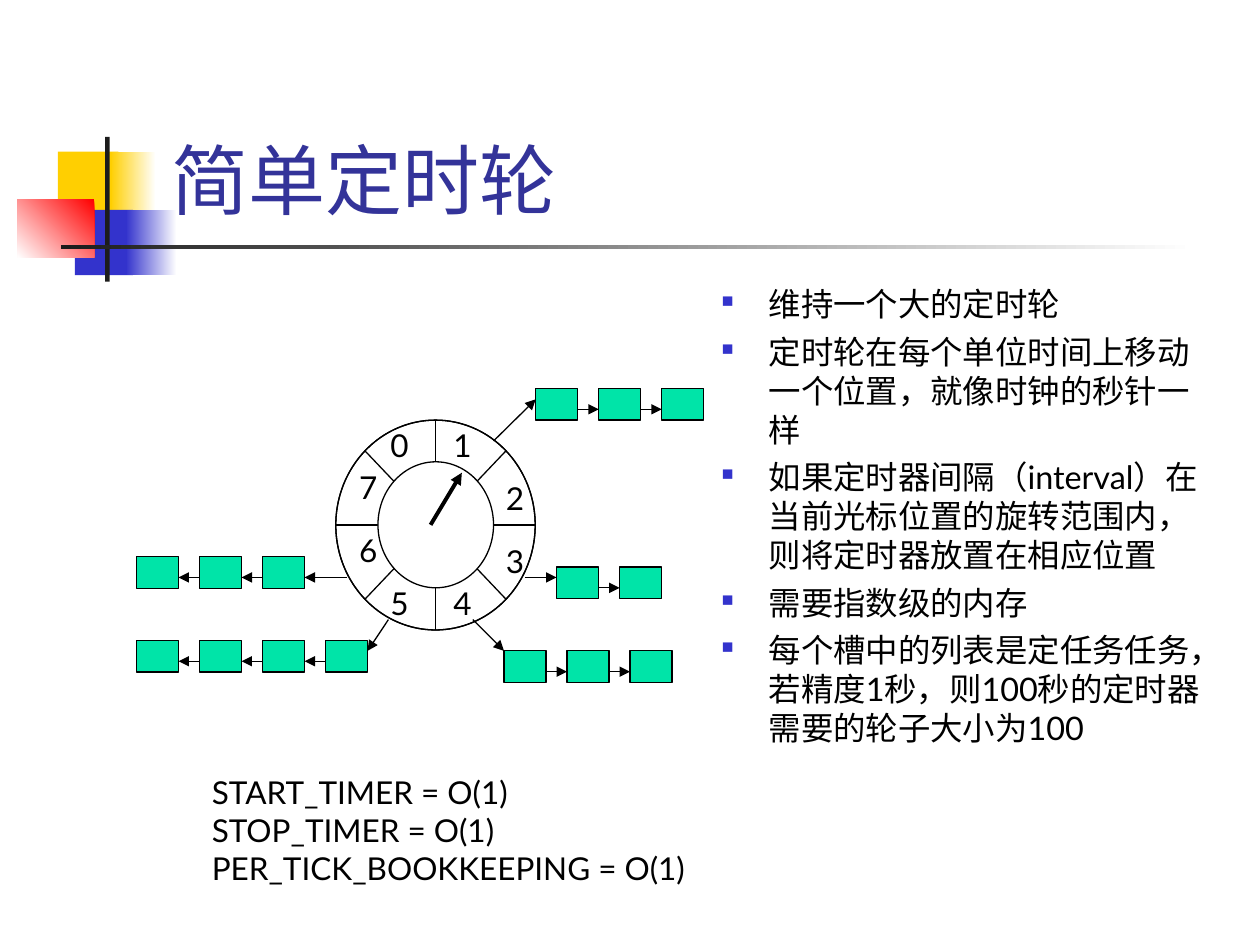
import pptx
import pptx.util
from pptx.dml.color import RGBColor
from pptx.enum.shapes import MSO_CONNECTOR, MSO_SHAPE
from pptx.enum.text import MSO_ANCHOR
from pptx.oxml.ns import qn
from lxml import etree

Cm, Pt = pptx.util.Cm, pptx.util.Pt
BOX_W, BOX_H, PITCH = 0.85, 0.64, 1.27
LINK_Y = 0.42  # height of the link arrows below the top of a box


def color(code):
    return RGBColor.from_string(code)


def write(frame, lines, size=18, ink="000000", gap=0, mark=None):
    """Fill a text frame, one paragraph a line, with an optional bullet colour."""
    for i, line in enumerate(lines):
        para = frame.paragraphs[0] if i == 0 else frame.add_paragraph()
        if mark:
            bullet(para, mark)
        if i and gap:
            para.space_before = Pt(gap)
        run = para.add_run()
        run.text = line
        run.font.size = Pt(size)
        run.font.name = "Lato"
        run.font.color.rgb = color(ink)


def bullet(para, ink):
    props = para._p.get_or_add_pPr()
    props.set("marL", str(Cm(0.95)))
    props.set("indent", str(-Cm(0.95)))
    tint = etree.SubElement(props, qn("a:buClr"))
    etree.SubElement(tint, qn("a:srgbClr"), val=ink)
    etree.SubElement(props, qn("a:buSzPct"), val="50000")
    etree.SubElement(props, qn("a:buChar"), char="■")


class Board:
    """Holds the line style and the current slide; lengths are in cm."""

    def __init__(self, slide, ink="000000", width=0.75):
        self.slide, self.ink, self.width = slide, ink, width

    def shape(self, kind, x, y, w, h, fill=None, edge=True):
        item = self.slide.shapes.add_shape(kind, Cm(x), Cm(y), Cm(w), Cm(h))
        item.shadow.inherit = False
        if fill:
            item.fill.solid()
            item.fill.fore_color.rgb = color(fill)
        else:
            item.fill.background()
        if edge:
            item.line.color.rgb = color(self.ink)
            item.line.width = Pt(self.width)
        else:
            item.line.fill.background()
        return item

    def block(self, x, y, w, h, fill):
        return self.shape(MSO_SHAPE.RECTANGLE, x, y, w, h, fill, edge=False)

    def fade(self, x, y, w, h, start, end, angle=180):
        item = self.block(x, y, w, h, start)
        item.fill.gradient()
        item.fill.gradient_angle = angle
        for stop, code in zip(item.fill.gradient_stops, (start, end)):
            stop.color.rgb = color(code)

    def arrow(self, x1, y1, x2, y2, width=None):
        item = self.slide.shapes.add_connector(
            MSO_CONNECTOR.STRAIGHT, Cm(x1), Cm(y1), Cm(x2), Cm(y2))
        item.line.color.rgb = color(self.ink)
        item.line.width = Pt(width or self.width)
        etree.SubElement(item.line._get_or_add_ln(), qn("a:tailEnd"), type="triangle")
        etree.SubElement(item._element.spPr, qn("a:effectLst"))

    def text(self, x, y, w, h, lines, anchor=MSO_ANCHOR.TOP, **style):
        frame = self.slide.shapes.add_textbox(Cm(x), Cm(y), Cm(w), Cm(h)).text_frame
        frame.word_wrap = True
        frame.vertical_anchor = anchor
        write(frame, lines, **style)

    def chain(self, x, y, count, way):
        """Draw linked boxes from x, to the right (way 1) or the left (way -1)."""
        for i in range(count):
            left = x + way * i * PITCH
            self.shape(MSO_SHAPE.RECTANGLE, left, y, BOX_W, BOX_H, "00E4A8")
            if i < count - 1:
                tip = left + (BOX_W if way > 0 else 0)
                self.arrow(tip, y + LINK_Y, tip + way * (PITCH - BOX_W), y + LINK_Y)


def decor(board):
    board.block(1.17, 3.06, 1.22, 1.32, "FFCF01")
    board.fade(2.23, 3.06, 0.91, 1.32, "FFFFFF", "FFCF01")
    board.block(1.51, 4.23, 1.17, 1.32, "3333CC")
    board.fade(2.54, 4.23, 1.02, 1.32, "FFFFFF", "3333CC")
    board.fade(0.35, 4.02, 1.55, 1.17, "FF0000", "FFFFFF", angle=225)
    board.block(2.12, 2.76, 0.09, 2.92, "1C1C1C")
    board.fade(1.23, 4.94, 22.86, 0.09, "FFFFFF", "1C1C1C")


def wheel(board):
    for kind in (MSO_SHAPE.FLOWCHART_SUMMING_JUNCTION, MSO_SHAPE.FLOWCHART_OR):
        board.shape(kind, 6.77, 8.47, 4.02, 4.23)
    board.shape(MSO_SHAPE.OVAL, 7.62, 9.31, 2.33, 2.54, "FFFFFF")
    board.arrow(8.68, 10.58, 9.31, 9.53, width=2.25)
    slots = [(7.62, 8.47), (8.89, 8.47), (9.95, 9.53), (9.95, 10.8),
             (8.89, 11.64), (7.62, 11.64), (6.99, 10.58), (6.99, 9.31)]
    for number, (x, y) in enumerate(slots):
        board.text(x, y, 0.86, 1.02, [str(number)])


def timers(board):
    spokes = [(9.95, 8.89, 10.8, 8.05), (10.58, 11.64, 11.22, 11.64),
              (9.53, 12.49, 10.16, 13.12), (7.83, 12.49, 7.41, 13.12),
              (6.99, 11.64, 6.14, 11.64)]
    for ends in spokes:
        board.arrow(*ends)
    chains = [(10.8, 7.83, 3, 1), (11.22, 11.43, 2, 1), (10.16, 13.12, 3, 1),
              (6.56, 12.91, 4, -1), (5.29, 11.22, 3, -1)]
    for row in chains:
        board.chain(*row)


def main():
    deck = pptx.Presentation()
    deck.slide_width, deck.slide_height = Cm(25.4), Cm(19.05)
    board = Board(deck.slides.add_slide(deck.slide_layouts[6]))
    decor(board)
    board.text(3.2, 0.6, 21.64, 4.06, ["简单定时轮"],
               anchor=MSO_ANCHOR.BOTTOM, size=44, ink="333399")
    board.text(14.3, 5.61, 10.48, 11.43, [
        "维持一个大的定时轮",
        "定时轮在每个单位时间上移动一个位置，就像时钟的秒针一样",
        "如果定时器间隔（interval）在当前光标位置的旋转范围内，则将定时器放置在相应位置",
        "需要指数级的内存",
        "每个槽中的列表是定任务任务，若精度1秒，则100秒的定时器需要的轮子大小为100",
    ], size=18.5, gap=5, mark="3333CC")
    wheel(board)
    timers(board)
    board.text(4.02, 15.46, 10.16, 2.54, [
        "START_TIMER = O(1)", "STOP_TIMER = O(1)", "PER_TICK_BOOKKEEPING = O(1)"])
    deck.save("out.pptx")


if __name__ == "__main__":
    main()
